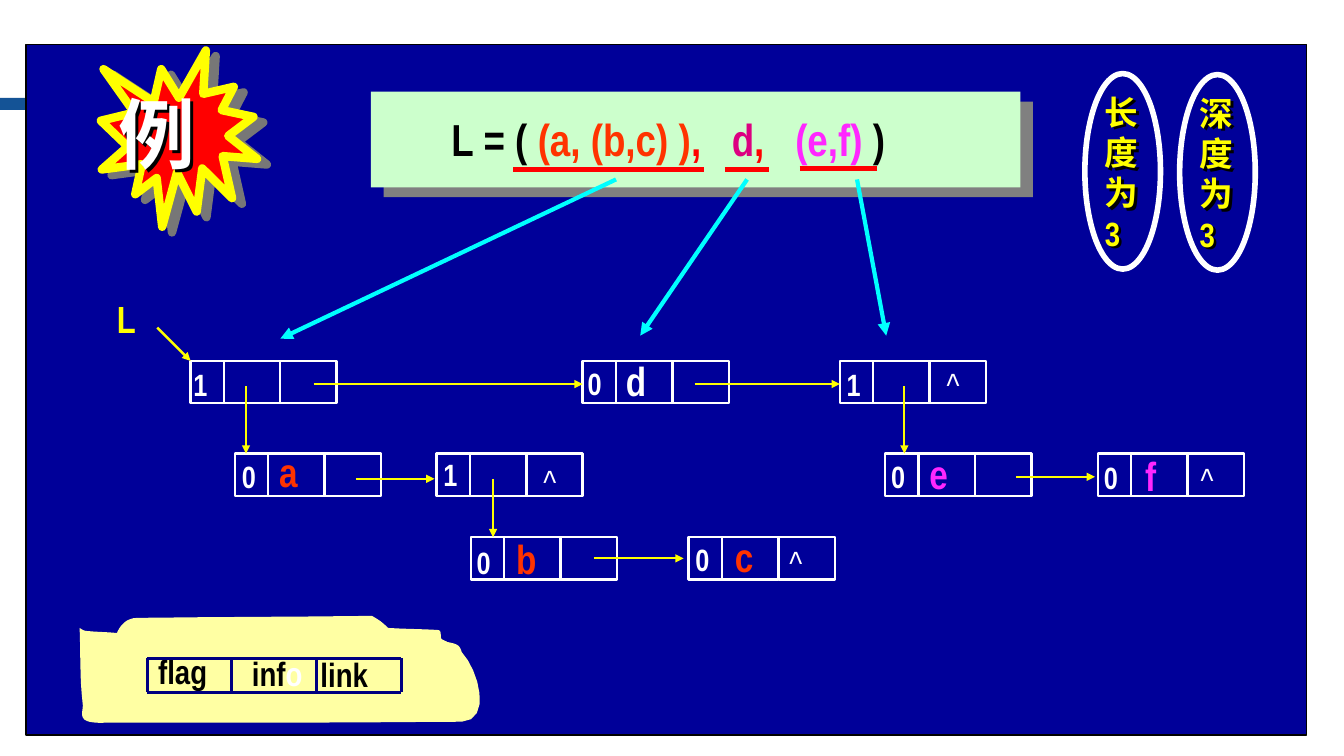
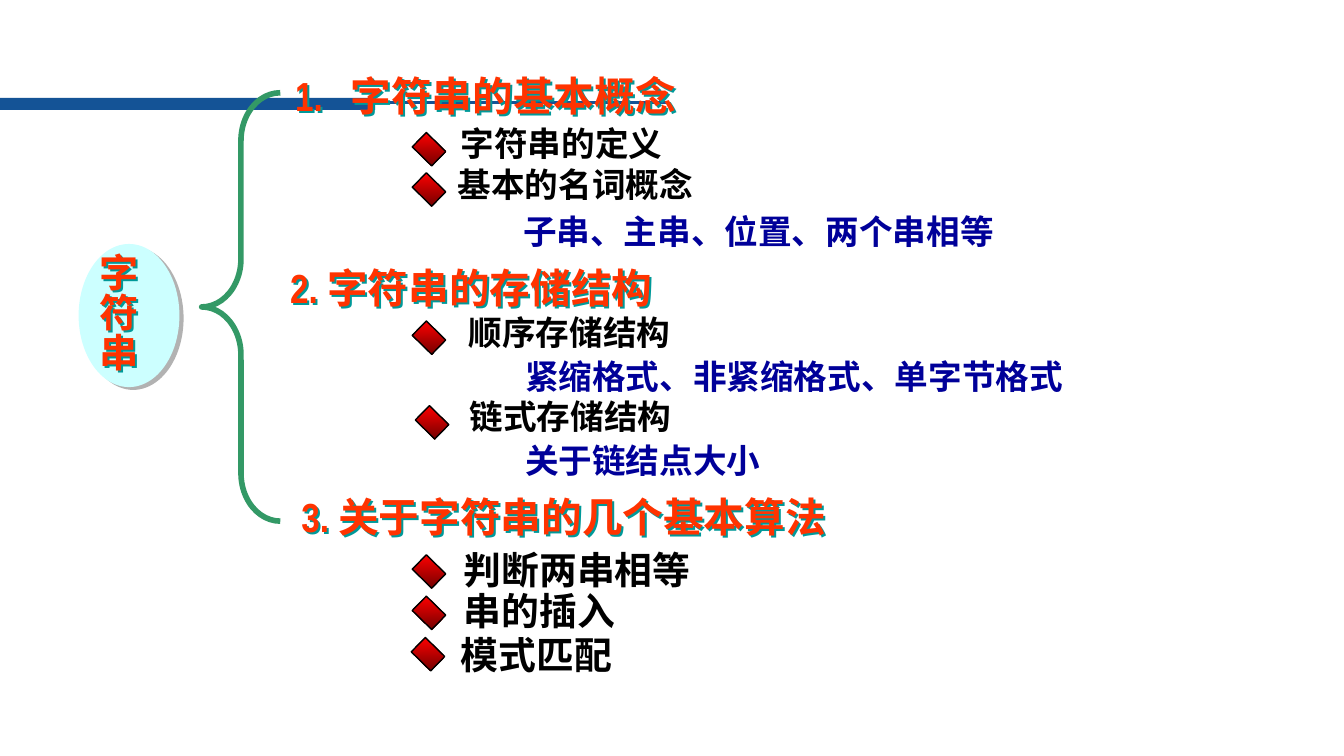
import pptx
import pptx.util
import pptx.dml.color
import pptx.enum.shapes
import pptx.enum.text
import lxml.etree

Inches, Pt = pptx.util.Inches, pptx.util.Pt
KIND = pptx.enum.shapes.MSO_SHAPE
FONT = "Arial Narrow"
NS = "http://schemas.openxmlformats.org/drawingml/2006/main"
C = dict(band="145396", navy="000099", black="000000", white="FFFFFF", red="FF0000",
         yellow="FFFF00", mint="CCFFCC", orange="FF3300", rose="DC0081",
         pink="FF27FF", cyan="00FFFF", cream="FFFFA3", frame="000080",
         green="339966", ice="CCFFFF", maroon="760000", teal="009999",
         dusk="777777", gray="808080", silver="B2B2B2")

# ---- Slide 1 content
ROWS = [3.58, 4.5, 5.33]
CELLS = [0.33, 0.56, 0.56]
# text style: size, bold, box width, box height
MARKS = {"flag": (22, True, 0.34, 0.47), "info": (29, True, 0.4, 0.59),
         "end": (24, False, 0.33, 0.51)}
# left, row, then marks: kind, text, colour, offset x, offset y
NODES = [
    (1.89, 0, [("flag", "1", "white", -0.07, 0)]),
    (5.78, 0, [("flag", "0", "white", -0.05, -0.01), ("info", "d", "white", 0.33, -0.1)]),
    (8.33, 0, [("flag", "1", "white", -0.03, 0), ("end", "^", "white", 0.96, -0.02)]),
    (2.33, 1, [("flag", "0", "white", -0.03, -0.01), ("info", "a", "orange", 0.34, -0.12)]),
    (4.33, 1, [("flag", "1", "white", -0.03, -0.03), ("end", "^", "white", 0.96, 0.02)]),
    (8.78, 1, [("flag", "0", "white", -0.04, -0.01), ("info", "e", "pink", 0.34, -0.1)]),
    (10.89, 1, [("flag", "0", "white", -0.04, 0), ("info", "f", "pink", 0.37, -0.08),
                ("end", "^", "white", 0.92, 0)]),
    (4.67, 2, [("flag", "0", "white", -0.04, 0.02), ("info", "b", "orange", 0.35, -0.08)]),
    (6.83, 2, [("flag", "0", "white", -0.03, -0.01), ("info", "c", "orange", 0.36, -0.1),
               ("end", "^", "white", 0.9, 0)]),
]
# colour, width, arrowhead, then (x1, y1, x2, y2)
LINES = [
    ("yellow", 1.5, True, [
        (3.11, 3.81, 5.78, 3.81), (6.89, 3.81, 8.33, 3.81), (2.44, 3.83, 2.44, 4.5),
        (8.97, 3.83, 8.97, 4.5), (3.53, 4.75, 4.31, 4.75), (10.08, 4.73, 10.86, 4.73),
        (4.89, 4.75, 4.89, 5.33), (5.89, 5.54, 6.78, 5.54)]),
    ("yellow", 1.75, True, [(1.56, 3.25, 1.89, 3.58)]),
    ("red", 3.75, False, [(5.09, 1.68, 6.98, 1.68), (7.19, 1.68, 7.63, 1.68),
                          (7.93, 1.67, 8.7, 1.67)]),
    ("cyan", 3, True, [(6.11, 1.78, 2.78, 3.36), (7.41, 1.78, 6.35, 3.33),
                       (8.5, 1.78, 8.79, 3.33)]),
]
FORMULA = [("L = ( ", "black"), ("(a, (b,c) )", "orange"), (",\t", "red"), ("d", "rose"),
           (",\t", "red"), ("(e,f) ", "pink"), (")", "black")]
BADGES = [(10.76, 0.73, "长度为3"), (11.7, 0.74, "深度为3")]
LEGEND = [(1.47, 6.49, 1.05, 0.34, [("flag", "black")]),
          (2.4, 6.47, 1.22, 0.42, [("inf", "black"), ("o", "white")]),
          (3.08, 6.48, 1.22, 0.42, [("link", "black")])]
SCROLL_START = (0.79, 6.23)
SCROLL = [
    (0.8, 6.48, 0.79, 6.73, 0.82, 6.98), (0.83, 7.03, 0.79, 7.1, 0.84, 7.14),
    (0.89, 7.18, 1.04, 7.17, 1.04, 7.17), (2.22, 7.17, 3.4, 7.17, 4.58, 7.16),
    (4.88, 7.15, 4.75, 6.65, 4.58, 6.47), (4.56, 6.4, 4.54, 6.39, 4.44, 6.37),
    (4.42, 6.36, 4.4, 6.35, 4.38, 6.34), (4.36, 6.31, 4.39, 6.25, 4.34, 6.25),
    (4.18, 6.24, 4.01, 6.24, 3.85, 6.23), (3.8, 6.18, 3.76, 6.15, 3.69, 6.11),
    (2.91, 6.12, 2.14, 6.12, 1.36, 6.13), (1.25, 6.13, 1.19, 6.21, 1.16, 6.28),
    (1.06, 6.27, 0.96, 6.27, 0.86, 6.26), (0.83, 6.26, 0.79, 6.23, 0.79, 6.23)]

# ---- Slide 2 content
HEADINGS = [(2.83, 0.65, 6.33, "1.\t字符串的基本概念"),
            (2.78, 2.56, 5.89, "2. 字符串的存储结构"),
            (2.89, 4.83, 8.47, "3. 关于字符串的几个基本算法")]
DETAILS = [(5.09, 2.04, 7.13, "子串、主串、位置、两个串相等"),
           (5.11, 3.48, 7.89, "紧缩格式、非紧缩格式、单字节格式"),
           (5.11, 4.31, 5.19, "关于链结点大小")]
# text left, top, size, text, diamond left, top
POINTS = [(4.47, 1.17, 24, "字符串的定义", 4.12, 1.38),
          (4.44, 1.58, 24, "基本的名词概念", 4.12, 1.78),
          (4.55, 3.04, 24, "顺序存储结构", 4.12, 3.25),
          (4.56, 3.88, 24, "链式存储结构", 4.15, 4.09),
          (4.5, 5.37, 27, "判断两串相等", 4.12, 5.57),
          (4.5, 5.78, 27, "串的插入", 4.12, 5.98),
          (4.47, 6.22, 27, "模式匹配", 4.11, 6.39)]


# ---- Helpers
def rgb(name):
    return pptx.dml.color.RGBColor.from_string(C[name])


def sub(parent, tag, **attrs):
    return lxml.etree.SubElement(parent, f"{{{NS}}}{tag}",
                                 {k: str(v) for k, v in attrs.items()})


def add_shadow(sp, color, dist, angle):
    sp.shadow.inherit = False
    effects = sp._element.spPr.find(f"{{{NS}}}effectLst")
    shadow = sub(effects, "outerShdw", blurRad=0, dist=Pt(dist),
                 dir=round(angle * 60000), algn="ctr", rotWithShape=0)
    sub(shadow, "srgbClr", val=C[color])


def style(sp, fill=None, line=None, width=1, shadow=None):
    sp.shadow.inherit = False
    if fill:
        sp.fill.solid()
        sp.fill.fore_color.rgb = rgb(fill)
    else:
        sp.fill.background()
    if line:
        sp.line.color.rgb = rgb(line)
        sp.line.width = Pt(width)
    else:
        sp.line.fill.background()
    if shadow:
        add_shadow(sp, *shadow)
    return sp


def add_shape(s, kind, box, **look):
    return style(s.shapes.add_shape(kind, *map(Inches, box)), **look)


def add_line(s, ends, color, width, arrow=False):
    cn = s.shapes.add_connector(pptx.enum.shapes.MSO_CONNECTOR.STRAIGHT, *map(Inches, ends))
    cn.line.color.rgb = rgb(color)
    cn.line.width = Pt(width)
    if arrow:
        sub(cn.line._get_or_add_ln(), "tailEnd", type="triangle")
    sub(cn._element.spPr, "effectLst")


def add_text(s, box, paragraphs, size, bold=True, wrap=True, grow=True,
             spacing=None, tabs=(), shadow=None):
    """Each paragraph is a list of (text, colour) runs."""
    sp = s.shapes.add_textbox(*map(Inches, box))
    tf = sp.text_frame
    tf.word_wrap = wrap
    if grow:
        tf.auto_size = pptx.enum.text.MSO_AUTO_SIZE.SHAPE_TO_FIT_TEXT
    else:
        tf.vertical_anchor = pptx.enum.text.MSO_ANCHOR.MIDDLE
    for i, runs in enumerate(paragraphs):
        p = tf.add_paragraph() if i else tf.paragraphs[0]
        if spacing:
            p.line_spacing = spacing
        if tabs:
            stops = sub(p._p.get_or_add_pPr(), "tabLst")
            for pos in tabs:
                sub(stops, "tab", pos=Inches(pos), algn="l")
        for text, color in runs:
            r = p.add_run()
            r.text = text
            for key, value in dict(name=FONT, size=Pt(size), bold=bold).items():
                setattr(r.font, key, value)
            r.font.color.rgb = rgb(color)
    if shadow:
        add_shadow(sp, *shadow)


def stacked(text, color):
    return [[(letter, color)] for letter in text]


def add_scroll(s):
    points, (x0, y0) = [], SCROLL_START
    for x1, y1, x2, y2, x3, y3 in SCROLL:
        for t in (n / 8 for n in range(1, 9)):
            a, b, c, d = (1 - t) ** 3, 3 * t * (1 - t) ** 2, 3 * t * t * (1 - t), t ** 3
            points.append((1000 * (a * x0 + b * x1 + c * x2 + d * x3),
                           1000 * (a * y0 + b * y1 + c * y2 + d * y3)))
        x0, y0 = x3, y3
    builder = s.shapes.build_freeform(*(1000 * v for v in SCROLL_START), scale=914.4)
    builder.add_line_segments(points, close=True)
    style(builder.convert_to_shape(), fill="cream")


def new_slide(prs):
    s = prs.slides.add_slide(prs.slide_layouts[6])
    add_shape(s, KIND.RECTANGLE, (0, 0.97, 3.72, 0.12), fill="band")
    add_line(s, (3.68, 1.02, 6.62, 1.02), "band", 2.25)
    return s


# ---- Slides
def list_slide(prs):
    s = new_slide(prs)
    add_shape(s, KIND.RECTANGLE, (0.26, 0.44, 12.7, 6.85), fill="navy", line="black")
    add_shape(s, KIND.EXPLOSION1, (1, 0.5, 1.55, 1.75), fill="red", line="yellow",
              width=6, shadow=("dusk", 8.1, 30))
    add_text(s, (1.08, 0.81, 1.39, 1.03), [[("例", "white")]], 55, shadow=("black", 3, 45))
    add_shape(s, KIND.RECTANGLE, (3.68, 0.91, 6.44, 0.95), fill="mint",
              shadow=("gray", 11.4, 38))
    add_text(s, (4.38, 1.06, 5.56, 0.64), [FORMULA], 32, tabs=(2.78, 3.41))
    # linked nodes
    for left, row, marks in NODES:
        top = ROWS[row]
        for i, width in enumerate(CELLS):
            add_shape(s, KIND.RECTANGLE, (left + sum(CELLS[:i]), top, width, 0.42),
                      line="white", width=1.75)
        for kind, text, color, dx, dy in marks:
            size, bold, w, h = MARKS[kind]
            add_text(s, (left + dx, top + dy, w, h), [[(text, color)]], size, bold, wrap=False)
    add_text(s, (1.06, 2.88, 0.39, 0.56), [[("L", "yellow")]], 27, wrap=False)
    for color, width, arrow, group in LINES:
        for ends in group:
            add_line(s, ends, color, width, arrow)
    # length and depth badges
    for left, top, text in BADGES:
        add_text(s, (left + 0.1, top + 0.13, 0.91, 1.72), stacked(text, "yellow"), 24,
                 shadow=("black", 2.5, 45))
        add_shape(s, KIND.OVAL, (left, top, 0.75, 1.94), line="white", width=4)
    # node legend
    add_scroll(s)
    for *box, runs in LEGEND:
        add_text(s, box, [runs], 24, wrap=False, grow=False)
    left, top, step, height = 1.46, 6.53, 0.84, 0.34
    for y in (top, top + height):
        add_line(s, (left, y, left + 3 * step, y), "frame", 2.25)
    for i in range(4):
        x = left + i * step
        add_line(s, (x, top, x, top + height), "frame", 2.25)


def outline_slide(prs):
    s = new_slide(prs)
    for left, top, width, text in HEADINGS:
        add_text(s, (left, top, width, 0.59), [[(text, "orange")]], 29,
                 tabs=(0.55,) if "\t" in text else (), shadow=("teal", 2, 45))
    brace = add_shape(s, KIND.LEFT_BRACE, (2, 0.92, 0.78, 4.25), line="green", width=4)
    brace.adjustments[0], brace.adjustments[1] = 0.61, 0.5
    for left, top, width, text in DETAILS:
        add_text(s, (left, top, width, 0.51), [[(text, "navy")]], 24)
    for left, top, size, text, mark_x, mark_y in POINTS:
        add_text(s, (left, top, 4.89, 0.51), [[(text, "black")]], size)
        mark = add_shape(s, KIND.RECTANGLE, (mark_x, mark_y, 0.27, 0.2), line="black")
        mark.rotation = 44.4
        mark.fill.gradient()
        mark.fill.gradient_angle = 315
        for stop, color in zip(mark.fill.gradient_stops, ("red", "maroon")):
            stop.color.rgb = rgb(color)
    # topic
    add_shape(s, KIND.OVAL, (0.78, 2.42, 1, 1.42), fill="ice", shadow=("silver", 3.6, 34))
    add_text(s, (0.89, 2.49, 0.6, 1.3), stacked("字符串", "orange"), 28, wrap=False,
             spacing=0.85, shadow=("teal", 2, 45))


def main():
    prs = pptx.Presentation()
    prs.slide_width, prs.slide_height = Inches(13.33), Inches(7.5)
    list_slide(prs)
    outline_slide(prs)
    prs.save("out.pptx")


if __name__ == "__main__":
    main()
